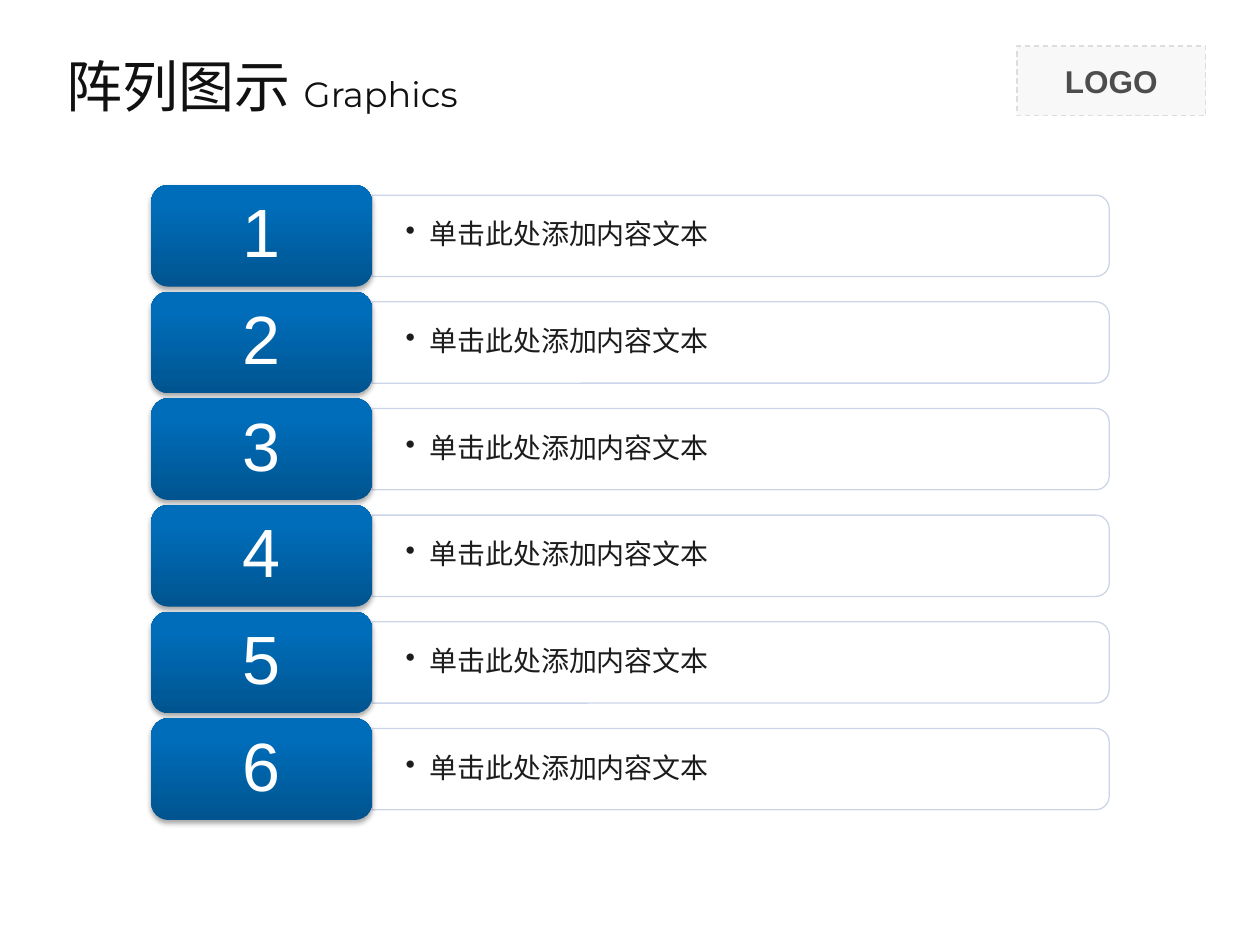
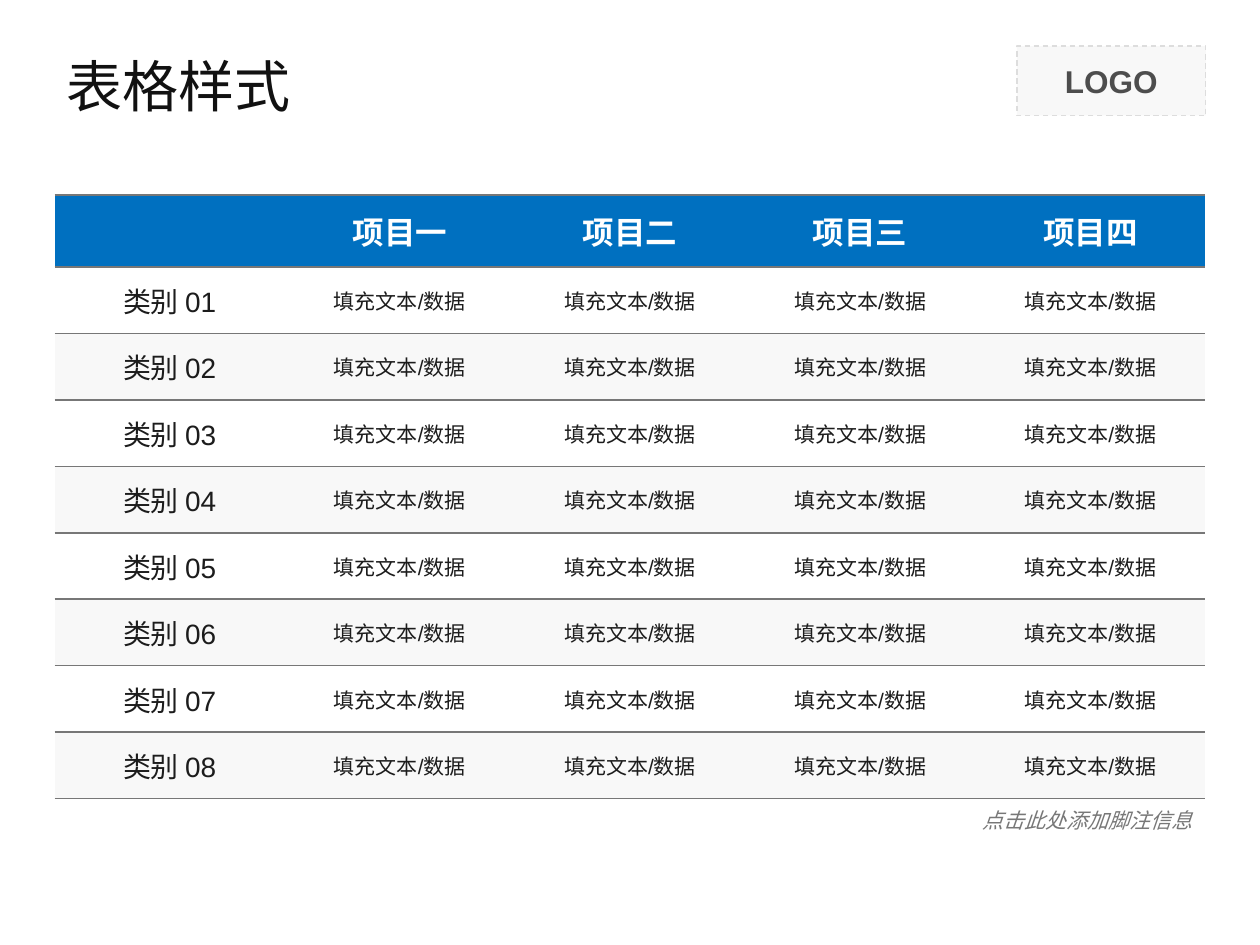
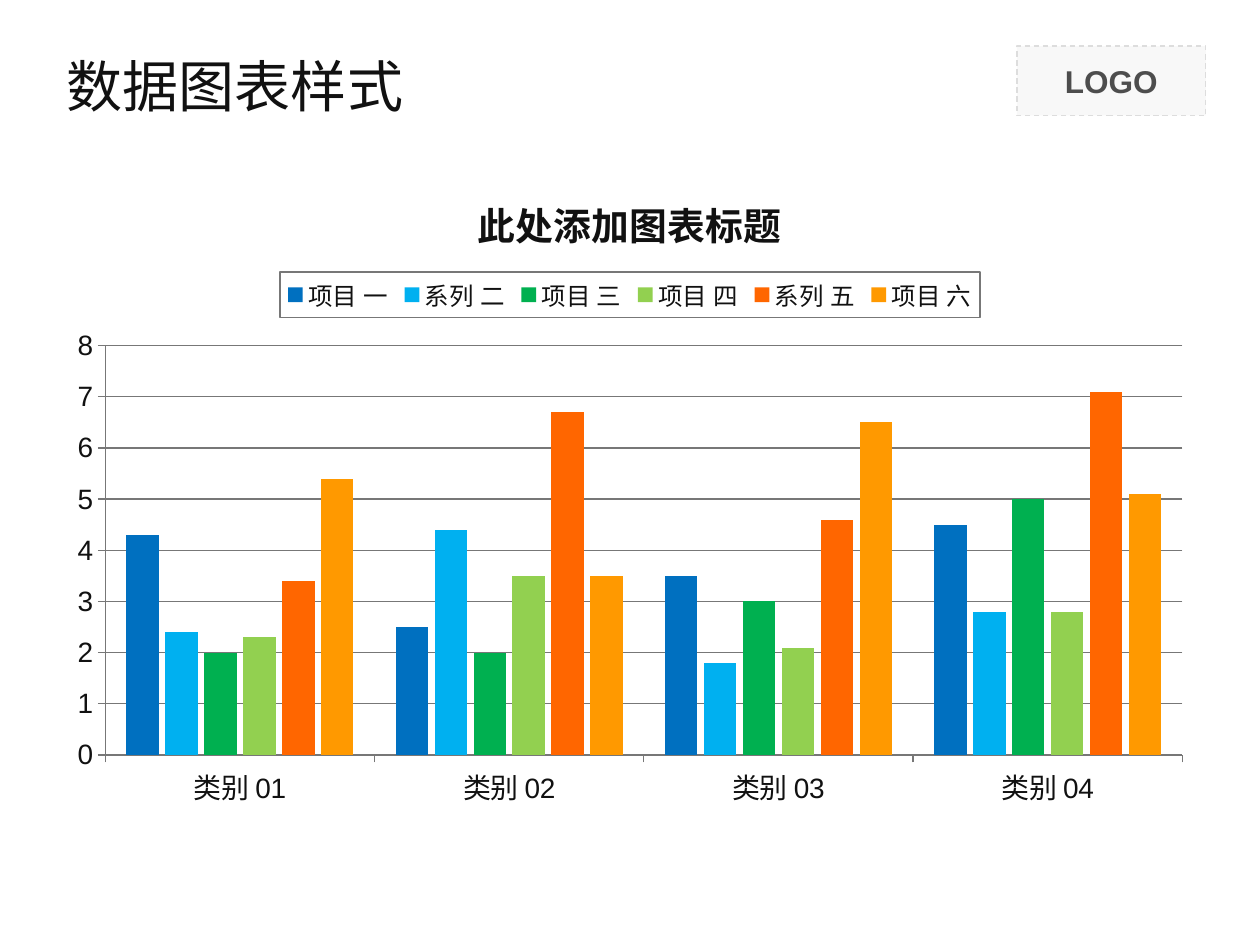
from pptx import Presentation
from pptx.chart.data import CategoryChartData
from pptx.dml.color import RGBColor
from pptx.enum.chart import XL_CHART_TYPE, XL_LEGEND_POSITION, XL_TICK_MARK
from pptx.enum.dml import MSO_LINE
from pptx.enum.shapes import MSO_SHAPE
from pptx.enum.text import MSO_ANCHOR, PP_ALIGN
from pptx.oxml import parse_xml
from pptx.oxml.ns import nsdecls, qn
from pptx.util import Cm, Pt

LIST_TITLE = [("阵列图示 ", 32), ("Graphics", 20)]
LIST_ITEMS = ["单击此处添加内容文本"] * 6

TABLE_TITLE = [("表格样式", 32)]
TABLE_HEADER = ["", "项目一", "项目二", "项目三", "项目四"]
TABLE_ROWS = [[f"类别 {number:02}"] + ["填充文本/数据"] * 4 for number in range(1, 9)]
FOOTNOTE = "点击此处添加脚注信息"

CHART_PAGE_TITLE = [("数据图表样式", 32)]
CHART_TITLE = "此处添加图表标题"
CATEGORIES = ["类别 01", "类别 02", "类别 03", "类别 04"]
SERIES = [
    ("项目 一", "0070C0", (4.3, 2.5, 3.5, 4.5)),
    ("系列 二", "00B0F0", (2.4, 4.4, 1.8, 2.8)),
    ("项目 三", "00B050", (2, 2, 3, 5)),
    ("项目 四", "92D050", (2.3, 3.5, 2.1, 2.8)),
    ("系列 五", "FF6600", (3.4, 6.7, 4.6, 7.1)),
    ("项目 六", "FF9900", (5.4, 3.5, 6.5, 5.1)),
]

TITLE_FONT, BODY_FONT = "Montserrat", "Arial"
BLUE, WHITE, PALE = "0070C0", "FFFFFF", "F8F8F8"
TITLE_INK, INK, GREY = "111111", "1C1C1C", "777777"
LOGO_INK, LOGO_LINE, PANEL_LINE = "4D4D4D", "DDDDDD", "CCD5E8"
GRADIENT = [(0, "00548F"), (0.8, "006DBA")]
NO_TABLE_STYLE = "{2D5ABB26-0587-4C30-8999-92F81FD0307C}"

# Lengths in centimetres
MARGIN, CONTENT_WIDTH = 1.1, 23.2
LIST_TOP, ROW_PITCH = 3.73, 2.15
BADGE_LEFT, BADGE_WIDTH, BADGE_HEIGHT = 3.05, 4.45, 2.05
PANEL_LENGTH, PANEL_THICKNESS = 14.86, 1.64
TABLE_TOP, HEADER_HEIGHT, ROW_HEIGHT = 3.93, 1.45, 1.34


def rgb(color):
    return RGBColor.from_string(color)


def box(left, top, width, height):
    return Cm(left), Cm(top), Cm(width), Cm(height)


def style_font(font, size, color, name=BODY_FONT, bold=False):
    font.size, font.name, font.bold = Pt(size), name, bold
    font.color.rgb = rgb(color)


def style_line(line, color, width=0.75):
    line.color.rgb = rgb(color)
    line.width = Pt(width)


def write(frame, text, size, color, align=PP_ALIGN.CENTER, bold=False):
    """Fill a frame with one vertically centred paragraph and return it."""
    frame.word_wrap = True
    frame.vertical_anchor = MSO_ANCHOR.MIDDLE
    paragraph = frame.paragraphs[0]
    paragraph.text = text
    paragraph.alignment = align
    style_font(paragraph.font, size, color, bold=bold)
    return paragraph


def add_preset(slide, preset, place):
    shape = slide.shapes.add_shape(preset, *place)
    shape.shadow.inherit = False
    return shape


def new_slide(presentation, title):
    """Add a slide with its title and the logo box."""
    slide = presentation.slides.add_slide(presentation.slide_layouts[6])
    logo = add_preset(slide, MSO_SHAPE.RECTANGLE, box(20.5, 0.93, 3.81, 1.4))
    logo.fill.solid()
    logo.fill.fore_color.rgb = rgb(PALE)
    style_line(logo.line, LOGO_LINE)
    logo.line.dash_style = MSO_LINE.DASH
    write(logo.text_frame, "LOGO", 18, LOGO_INK, bold=True)

    frame = slide.shapes.add_textbox(*box(MARGIN, 0.72, CONTENT_WIDTH, 2)).text_frame
    frame.word_wrap = True
    frame.vertical_anchor = MSO_ANCHOR.MIDDLE
    paragraph = frame.paragraphs[0]
    style_font(paragraph.font, 32, TITLE_INK, TITLE_FONT)
    for text, size in title:
        run = paragraph.add_run()
        run.text = text
        run.font.size = Pt(size)
    return slide


def add_bullet(paragraph, indent):
    properties = paragraph._p.get_or_add_pPr()
    properties.set("marL", str(Cm(indent)))
    properties.set("indent", str(-Cm(indent)))
    bullet = parse_xml(f'<a:buChar {nsdecls("a")} char="•"/>')
    properties.insert_element_before(bullet, "a:tabLst", "a:defRPr", "a:extLst")


def add_drop_shadow(shape):
    effects = shape._element.spPr.find(qn("a:effectLst"))
    effects.append(parse_xml(
        f'<a:outerShdw {nsdecls("a")} blurRad="{Pt(3.1)}" dist="{Pt(1.8)}" dir="5400000" '
        'rotWithShape="0"><a:srgbClr val="000000"><a:alpha val="35000"/></a:srgbClr>'
        '</a:outerShdw>'))


def add_panel(slide, middle, text):
    left = BADGE_LEFT + BADGE_WIDTH
    panel = add_preset(slide, MSO_SHAPE.ROUND_2_SAME_RECTANGLE, box(
        left + (PANEL_LENGTH - PANEL_THICKNESS) / 2, middle - PANEL_LENGTH / 2,
        PANEL_THICKNESS, PANEL_LENGTH))
    panel.rotation = 90
    panel.fill.solid()
    panel.fill.fore_color.rgb = rgb(WHITE)
    style_line(panel.line, PANEL_LINE)

    frame = slide.shapes.add_textbox(*box(
        left, middle - PANEL_THICKNESS / 2, PANEL_LENGTH, PANEL_THICKNESS)).text_frame
    frame.margin_left = frame.margin_right = Cm(0.68)
    paragraph = write(frame, text, 16, INK, PP_ALIGN.LEFT)
    paragraph.line_spacing = 0.9
    add_bullet(paragraph, 0.48)


def add_badge(slide, top, number):
    badge = add_preset(slide, MSO_SHAPE.ROUNDED_RECTANGLE,
                       box(BADGE_LEFT, top, BADGE_WIDTH, BADGE_HEIGHT))
    badge.fill.gradient()
    badge.fill.gradient_angle = 90
    for stop, (position, color) in zip(badge.fill.gradient_stops, GRADIENT):
        stop.position = position
        stop.color.rgb = rgb(color)
    badge.line.fill.background()
    add_drop_shadow(badge)
    write(badge.text_frame, str(number), 39, WHITE).line_spacing = 0.9


def build_list_slide(presentation):
    slide = new_slide(presentation, LIST_TITLE)
    for index, text in enumerate(LIST_ITEMS):
        top = LIST_TOP + index * ROW_PITCH
        add_panel(slide, top + BADGE_HEIGHT / 2, text)
        add_badge(slide, top, index + 1)


def rule_cell(cell):
    """Draw the grey rules above and below a cell."""
    properties = cell._tc.get_or_add_tcPr()
    for index, side in enumerate(("lnT", "lnB")):
        properties.insert(index, parse_xml(
            f'<a:{side} {nsdecls("a")} w="{Pt(1)}"><a:solidFill>'
            f'<a:srgbClr val="{GREY}"/></a:solidFill></a:{side}>'))


def build_table_slide(presentation):
    slide = new_slide(presentation, TABLE_TITLE)
    rows = [TABLE_HEADER] + TABLE_ROWS
    height = HEADER_HEIGHT + ROW_HEIGHT * len(TABLE_ROWS)
    table = slide.shapes.add_table(len(rows), len(TABLE_HEADER), *box(
        MARGIN, TABLE_TOP, CONTENT_WIDTH, height)).table
    table.first_row = table.horz_banding = False
    table._tbl.tblPr.find(qn("a:tableStyleId")).text = NO_TABLE_STYLE
    for row_index, texts in enumerate(rows):
        is_header = row_index == 0
        table.rows[row_index].height = Cm(HEADER_HEIGHT if is_header else ROW_HEIGHT)
        fill = BLUE if is_header else (PALE, WHITE)[row_index % 2]
        for column_index, text in enumerate(texts):
            cell = table.cell(row_index, column_index)
            size = 18 if is_header else 12 if column_index else 16
            write(cell.text_frame, text, size, WHITE if is_header else INK, bold=is_header)
            cell.vertical_anchor = MSO_ANCHOR.MIDDLE
            cell.fill.solid()
            cell.fill.fore_color.rgb = rgb(fill)
            rule_cell(cell)

    note = slide.shapes.add_textbox(*box(19.51, 16.15, 4.78, 0.76)).text_frame
    write(note, FOOTNOTE, 12, GREY, PP_ALIGN.RIGHT).font.italic = True
    note.word_wrap = False


def style_axis(axis):
    style_font(axis.tick_labels.font, 16, TITLE_INK)
    style_line(axis.format.line, GREY)
    axis.major_tick_mark = XL_TICK_MARK.OUTSIDE


def outline_legend(legend):
    overlay = legend._element.find(qn("c:overlay"))
    overlay.addnext(parse_xml(
        f'<c:spPr {nsdecls("c", "a")}><a:ln w="{Pt(0.75)}"><a:solidFill>'
        f'<a:srgbClr val="{GREY}"/></a:solidFill></a:ln></c:spPr>'))


def build_chart_slide(presentation):
    slide = new_slide(presentation, CHART_PAGE_TITLE)
    data = CategoryChartData()
    data.categories = CATEGORIES
    for name, _, values in SERIES:
        data.add_series(name, values)
    chart = slide.shapes.add_chart(XL_CHART_TYPE.COLUMN_CLUSTERED, *box(
        MARGIN, 3.33, CONTENT_WIDTH, 13.2), data).chart
    style_font(chart.font, 18, TITLE_INK)

    paragraph = chart.chart_title.text_frame.paragraphs[0]
    paragraph.text = CHART_TITLE
    style_font(paragraph.font, 21.6, TITLE_INK, bold=True)
    chart.chart_title.include_in_layout = False

    chart.has_legend = True
    chart.legend.position = XL_LEGEND_POSITION.TOP
    chart.legend.include_in_layout = False
    style_font(chart.legend.font, 14, TITLE_INK)
    outline_legend(chart.legend)

    style_axis(chart.category_axis)
    style_axis(chart.value_axis)
    chart.value_axis.minimum_scale, chart.value_axis.maximum_scale = 0, 8
    chart.value_axis.major_unit = 1
    style_line(chart.value_axis.major_gridlines.format.line, GREY)

    plot = chart.plots[0]
    plot.gap_width, plot.overlap = 130, -20
    plot.vary_by_categories = False
    for series, (_, color, _) in zip(plot.series, SERIES):
        series.format.fill.solid()
        series.format.fill.fore_color.rgb = rgb(color)


def main():
    presentation = Presentation()
    presentation.slide_width, presentation.slide_height = Cm(25.4), Cm(19.05)
    build_list_slide(presentation)
    build_table_slide(presentation)
    build_chart_slide(presentation)
    presentation.save("out.pptx")


if __name__ == "__main__":
    main()
